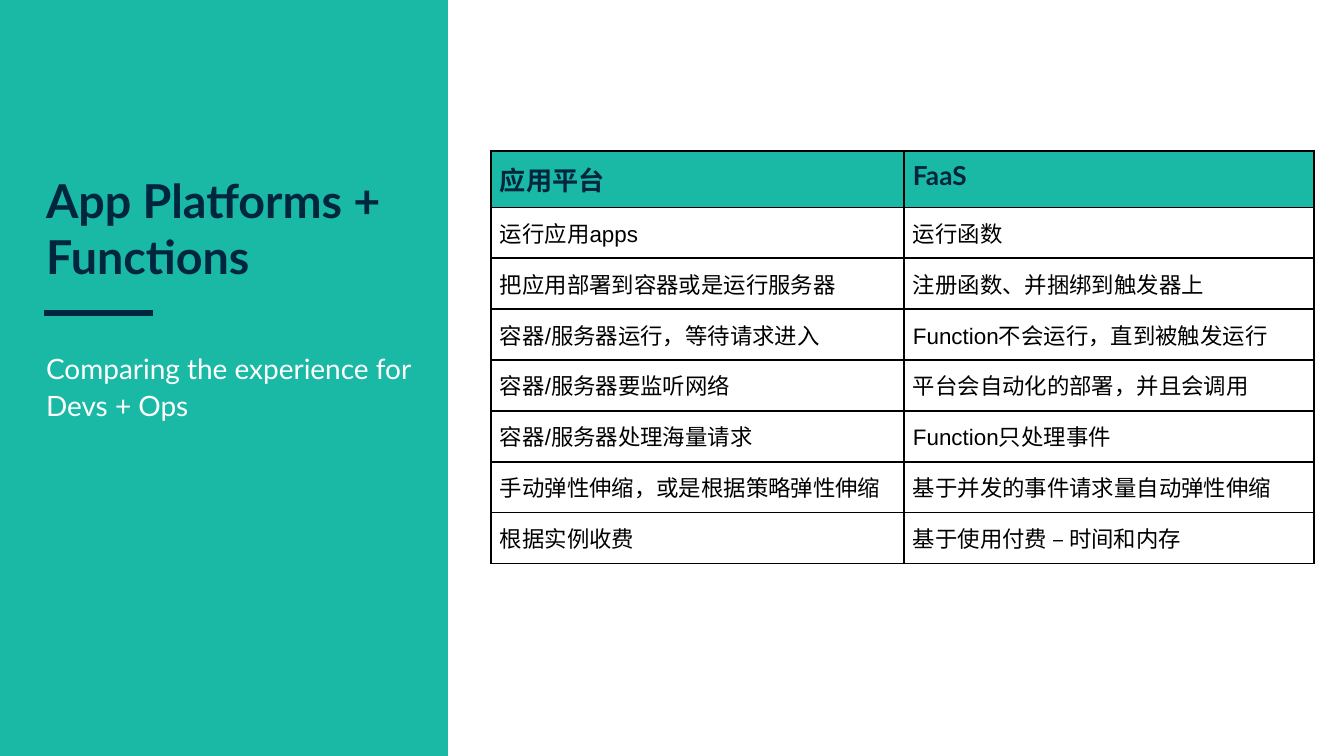
"""Build a slide comparing app platforms with functions as a service."""
from dataclasses import dataclass
from typing import NamedTuple

from lxml.etree import SubElement
from pptx import Presentation
from pptx.dml.color import RGBColor
from pptx.enum.shapes import MSO_CONNECTOR as Connector, MSO_SHAPE as Preset
from pptx.enum.text import MSO_ANCHOR as Anchor, MSO_AUTO_SIZE as AutoSize, PP_ALIGN as Align
from pptx.oxml.ns import qn
from pptx.util import Emu, Pt

EMU_PER_PX = 914400 / 134.4


@dataclass(frozen=True)
class Theme:
    teal: str = "1AB9A5"
    navy: str = "00253E"
    white: str = "FFFFFF"
    black: str = "000000"
    heading_font: str = "Lato"
    body_font: str = "Arial"
    title_size: int = 25
    subtitle_size: int = 15
    header_size: int = 14
    body_size: int = 12
    rule_width: float = 3
    border_width: float = 0.75


class TextStyle(NamedTuple):
    font: str
    size: int
    color: str
    bold: bool = False


class Frame(NamedTuple):
    left: int
    top: int
    width: int
    height: int


class Comparison(NamedTuple):
    platform: str
    function: str


THEME = Theme()
TITLE = TextStyle(THEME.heading_font, THEME.title_size, THEME.navy, True)
SUBTITLE = TextStyle(THEME.heading_font, THEME.subtitle_size, THEME.white)
HEADER = TextStyle(THEME.heading_font, THEME.header_size, THEME.navy, True)
BODY = TextStyle(THEME.body_font, THEME.body_size, THEME.black)

PAGE_WIDTH, PAGE_HEIGHT = 1344, 756
TEXT_INSET, CELL_INSET = 13, 9
HEADER_HEIGHT, ROW_HEIGHT = 56, 51
COLUMN_WIDTHS = (413, 410)
COMPARISONS = [
    Comparison("应用平台", "FaaS"),
    Comparison("运行应用apps", "运行函数"),
    Comparison("把应用部署到容器或是运行服务器", "注册函数、并捆绑到触发器上"),
    Comparison("容器/服务器运行，等待请求进入", "Function不会运行，直到被触发运行"),
    Comparison("容器/服务器要监听网络", "平台会自动化的部署，并且会调用"),
    Comparison("容器/服务器处理海量请求", "Function只处理事件"),
    Comparison("手动弹性伸缩，或是根据策略弹性伸缩", "基于并发的事件请求量自动弹性伸缩"),
    Comparison("根据实例收费", "基于使用付费 – 时间和内存"),
]


def px(length: int) -> Emu:
    return Emu(round(length * EMU_PER_PX))


def rgb(color: str) -> RGBColor:
    return RGBColor.from_string(color)


def write(para, text: str, style: TextStyle) -> None:
    para.add_run().text = text
    para.alignment = Align.LEFT
    para.font.name = style.font
    para.font.size = Pt(style.size)
    para.font.bold = style.bold
    para.font.color.rgb = rgb(style.color)


def fill_text_box(box, frame: Frame, anchor: Anchor, text: str, style: TextStyle) -> None:
    box.left, box.top, box.width, box.height = map(px, frame)
    body = box.text_frame
    body.auto_size = AutoSize.NONE
    body.word_wrap = True
    body.vertical_anchor = anchor
    body.margin_left = body.margin_right = px(TEXT_INSET)
    body.margin_top = body.margin_bottom = px(TEXT_INSET)
    write(body.paragraphs[0], text, style)


def add_panel(page, frame: Frame) -> None:
    panel = page.shapes.add_shape(Preset.RECTANGLE, *map(px, frame))
    panel.shadow.inherit = False
    panel.fill.solid()
    panel.fill.fore_color.rgb = rgb(THEME.teal)
    panel.line.fill.background()


def add_rule(page, left: int, right: int, top: int) -> None:
    rule = page.shapes.add_connector(Connector.STRAIGHT, px(left), px(top), px(right), px(top))
    rule.line.color.rgb = rgb(THEME.navy)
    rule.line.width = Pt(THEME.rule_width)
    SubElement(rule._element.spPr, qn("a:effectLst"))


def add_borders(cell) -> None:
    properties = cell._tc.get_or_add_tcPr()
    for side in ("a:lnL", "a:lnR", "a:lnT", "a:lnB"):
        line = SubElement(properties, qn(side), w=str(Pt(THEME.border_width)))
        SubElement(SubElement(line, qn("a:solidFill")), qn("a:srgbClr"), val=THEME.black)


def format_cell(cell, text: str, is_header: bool) -> None:
    add_borders(cell)
    cell.margin_left = cell.margin_right = px(CELL_INSET)
    cell.margin_top = cell.margin_bottom = px(CELL_INSET)
    if is_header:
        cell.fill.solid()
        cell.fill.fore_color.rgb = rgb(THEME.teal)
    else:
        cell.fill.background()
    write(cell.text_frame.paragraphs[0], text, HEADER if is_header else BODY)


def add_comparison_table(page, left: int, top: int) -> None:
    heights = [HEADER_HEIGHT] + [ROW_HEIGHT] * (len(COMPARISONS) - 1)
    frame = Frame(left, top, sum(COLUMN_WIDTHS), sum(heights))
    table = page.shapes.add_table(len(heights), len(COLUMN_WIDTHS), *map(px, frame)).table
    table.first_row = table.horz_banding = False
    for column, width in zip(table.columns, COLUMN_WIDTHS):
        column.width = px(width)
    for index, (row, height, comparison) in enumerate(zip(table.rows, heights, COMPARISONS)):
        row.height = px(height)
        for cell, text in zip(row.cells, comparison):
            format_cell(cell, text, is_header=index == 0)


def main() -> None:
    deck = Presentation()
    deck.slide_width, deck.slide_height = px(PAGE_WIDTH), px(PAGE_HEIGHT)
    page = deck.slides.add_slide(deck.slide_layouts[5])
    title = page.shapes.title
    add_panel(page, Frame(0, 0, 448, PAGE_HEIGHT))
    page.shapes._spTree.append(title._element)
    add_rule(page, 44, 153, 313)
    fill_text_box(title, Frame(33, 66, 404, 231), Anchor.BOTTOM,
                  "App Platforms + Functions", TITLE)
    subtitle_frame = Frame(33, 335, 404, 220)
    subtitle = page.shapes.add_textbox(*map(px, subtitle_frame))
    fill_text_box(subtitle, subtitle_frame, Anchor.TOP,
                  "Comparing the experience for Devs + Ops", SUBTITLE)
    subtitle.text_frame.paragraphs[0].line_spacing = 1.1
    add_comparison_table(page, 491, 151)
    deck.save("out.pptx")


if __name__ == "__main__":
    main()
